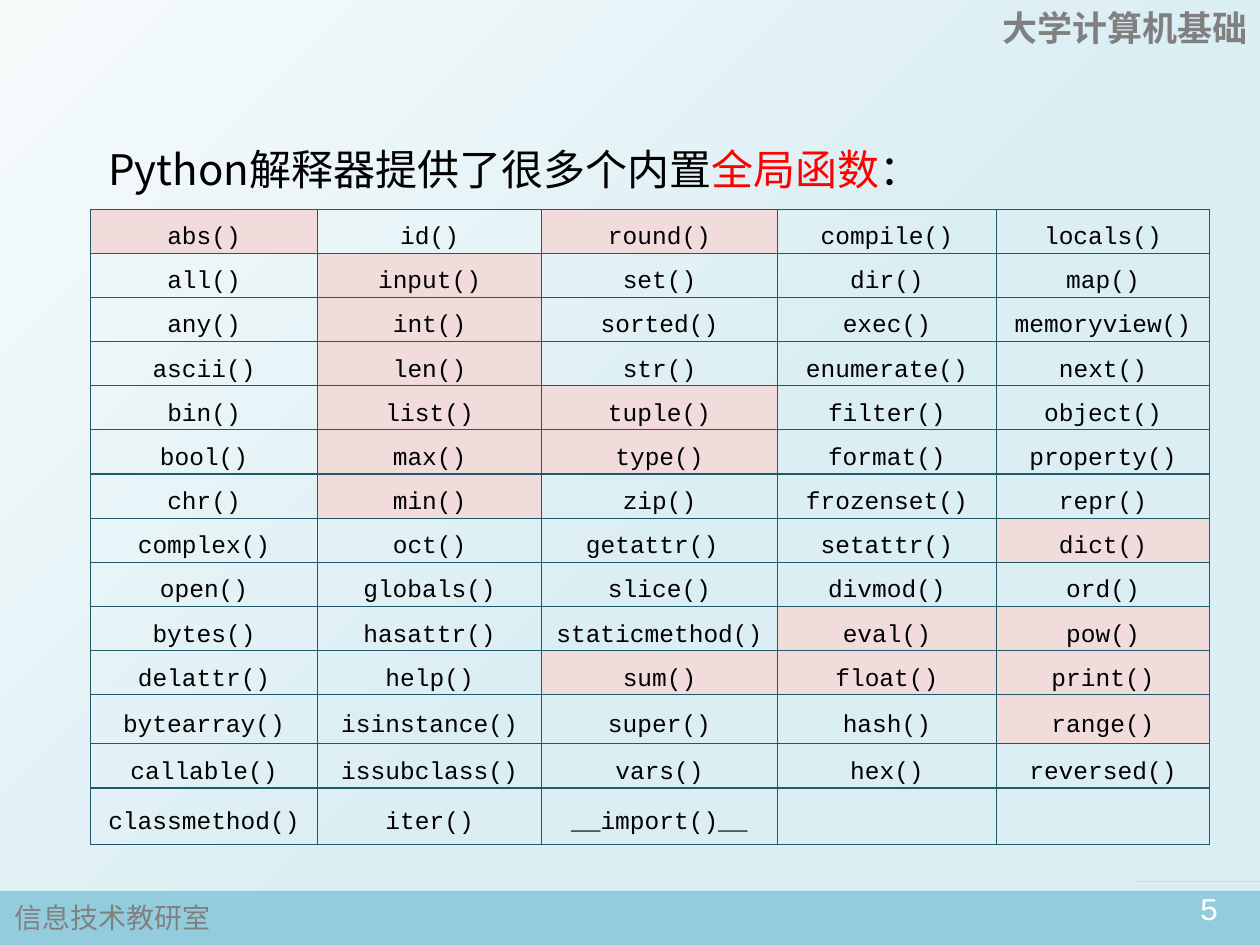
from dataclasses import dataclass
from math import cos, pi, sin

from lxml.etree import SubElement
from pptx import Presentation
from pptx.dml.color import RGBColor
from pptx.enum.shapes import MSO_SHAPE
from pptx.enum.text import MSO_ANCHOR, MSO_AUTO_SIZE, PP_ALIGN
from pptx.oxml.ns import qn
from pptx.util import Inches, Pt

# Content
HEADER = "大学计算机基础"
FOOTER = "信息技术教研室"
PAGE_NUMBER = "5"
TITLE_PARTS = [("Python解释器提供了很多个内置", False), ("全局函数", True), ("：", False)]
FUNCTION_ROWS = [
    ("abs()", "id()", "round()", "compile()", "locals()"),
    ("all()", "input()", "set()", "dir()", "map()"),
    ("any()", "int()", "sorted()", "exec()", "memoryview()"),
    ("ascii()", "len()", "str()", "enumerate()", "next()"),
    ("bin()", "list()", "tuple()", "filter()", "object()"),
    ("bool()", "max()", "type()", "format()", "property()"),
    ("chr()", "min()", "zip()", "frozenset()", "repr()"),
    ("complex()", "oct()", "getattr() ", "setattr()", "dict()"),
    ("open()", "globals()", "slice()", "divmod()", "ord()"),
    ("bytes()", "hasattr()", "staticmethod()", "eval()", "pow()"),
    ("delattr()", "help()", "sum()", "float()", "print()"),
    ("bytearray()", "isinstance()", "super()", "hash()", "range()"),
    ("callable()", "issubclass()", "vars()", "hex()", "reversed()"),
    ("classmethod()", "iter()", "__import()__", "", ""),
]
HIGHLIGHTED = {
    "abs()", "round()", "input()", "int()", "len()", "list()", "tuple()", "max()", "type()",
    "min()", "dict()", "eval()", "pow()", "sum()", "float()", "print()", "range()",
}

# Geometry in inches
WIDTH, HEIGHT = 10, 7.5
BAR_TOP = 7.07
TABLE_LEFT, TABLE_TOP = 0.72, 1.66
COLUMN_WIDTHS = [1.8, 1.78, 1.87, 1.74, 1.69]
ROW_HEIGHT = 0.35
TALL_ROWS = {11: 0.39, 13: 0.45}


@dataclass(frozen=True)
class Theme:
    background_start: str = "F6FBFC"
    background_end: str = "DBEEF4"
    bar: str = "93CDDD"
    ribbon: str = "31859C"
    border: str = "215968"
    highlight: str = "F2DCDB"
    text: str = "000000"
    accent: str = "FF0000"
    muted: str = "808080"
    white: str = "FFFFFF"
    title_font: str = "Noto Sans CJK SC"
    label_font: str = "Noto Sans CJK JP"
    code_font: str = "Courier New"
    title_size: int = 24
    header_size: int = 20
    number_size: int = 18
    footer_size: int = 16
    table_size: int = 14


THEME = Theme()


def rgb(color):
    return RGBColor.from_string(color)


def format_run(run, font, size, color, bold=False):
    run.font.name, run.font.size, run.font.bold = font, Pt(size), bold
    run.font.color.rgb = rgb(color)
    SubElement(run.font._element, qn("a:ea"), typeface=font)


def paint(shape, color):
    shape.fill.solid()
    shape.fill.fore_color.rgb = rgb(color)
    shape.line.fill.background()
    shape.shadow.inherit = False


def add_label(slide, box, text, font, size, color, alignment, bold=False, wrap=True):
    frame = slide.shapes.add_textbox(*map(Inches, box)).text_frame
    frame.word_wrap = wrap
    frame.text = text
    paragraph = frame.paragraphs[0]
    paragraph.alignment = alignment
    format_run(paragraph.runs[0], font, size, color, bold)


def arc(center_x, center_y, radius_x, radius_y, start, end, steps=8):
    """Points of an elliptic arc, in degrees, with 90 at the top."""
    angles = [(start + (end - start) * i / steps) * pi / 180 for i in range(steps + 1)]
    return [(center_x + radius_x * cos(a), center_y - radius_y * sin(a)) for a in angles]


def add_ribbon(slide):
    curl = [(9.8, BAR_TOP), *arc(9.88, 6.97, 0.08, 0.07, 180, 0), (9.96, BAR_TOP)]
    body = [(9.42, 7.49), *arc(9.51, 6.98, 0.1, 0.08, 180, 90),
            *arc(9.82, 6.97, 0.04, 0.07, 90, 180), (9.78, 7.49), (9.59, 7.41)]
    builder = slide.shapes.build_freeform(*curl[0], scale=Inches(1))
    builder.add_line_segments(curl[1:], close=True)
    builder.move_to(*body[0])
    builder.add_line_segments(body[1:], close=True)
    paint(builder.convert_to_shape(), THEME.ribbon)


def add_borders(cell):
    properties = cell._tc.get_or_add_tcPr()
    for side in ("lnL", "lnR", "lnT", "lnB"):
        line = SubElement(properties, qn(f"a:{side}"), w=str(Pt(0.75)))
        fill = SubElement(line, qn("a:solidFill"))
        SubElement(fill, qn("a:srgbClr"), val=THEME.border)


def fill_cell(cell, text):
    add_borders(cell)
    cell.vertical_anchor = MSO_ANCHOR.MIDDLE
    cell.margin_left = cell.margin_right = Inches(0.07)
    cell.margin_top = cell.margin_bottom = 0
    if text in HIGHLIGHTED:
        cell.fill.solid()
        cell.fill.fore_color.rgb = rgb(THEME.highlight)
    else:
        cell.fill.background()
    if text:
        cell.text_frame.text = text
        paragraph = cell.text_frame.paragraphs[0]
        paragraph.alignment, paragraph.line_spacing = PP_ALIGN.CENTER, 1.5
        format_run(paragraph.runs[0], THEME.code_font, THEME.table_size, THEME.text)


def add_function_table(slide):
    heights = [TALL_ROWS.get(i, ROW_HEIGHT) for i in range(len(FUNCTION_ROWS))]
    box = (TABLE_LEFT, TABLE_TOP, sum(COLUMN_WIDTHS), sum(heights))
    table = slide.shapes.add_table(len(heights), len(COLUMN_WIDTHS), *map(Inches, box)).table
    table.first_row = table.horz_banding = False
    for column, width in zip(table.columns, COLUMN_WIDTHS):
        column.width = Inches(width)
    for row, height, names in zip(table.rows, heights, FUNCTION_ROWS):
        row.height = Inches(height)
        for cell, name in zip(row.cells, names):
            fill_cell(cell, name)


def format_title(title):
    title.left, title.top, title.width, title.height = map(Inches, (0.46, 0.89, 9.13, 0.64))
    frame = title.text_frame
    frame.auto_size, frame.vertical_anchor = MSO_AUTO_SIZE.NONE, MSO_ANCHOR.TOP
    frame.word_wrap = True
    paragraph = frame.paragraphs[0]
    paragraph.alignment, paragraph.line_spacing = PP_ALIGN.JUSTIFY, 1.5
    paragraph._p.get_or_add_pPr().set("indent", str(Inches(0.3)))
    for text, accented in TITLE_PARTS:
        run = paragraph.add_run()
        run.text = text
        color = THEME.accent if accented else THEME.text
        format_run(run, THEME.title_font, THEME.title_size, color)


def main():
    presentation = Presentation()
    presentation.slide_width, presentation.slide_height = Inches(WIDTH), Inches(HEIGHT)
    slide = presentation.slides.add_slide(presentation.slide_layouts[5])

    # Background, running from the top left corner
    background = slide.background.fill
    background.gradient()
    background.gradient_angle = 315
    stops = [(0, THEME.background_start), (0.56, THEME.background_end)]
    for stop, (position, color) in zip(background.gradient_stops, stops):
        stop.position, stop.color.rgb = position, rgb(color)

    # Footer bar, ribbon and labels
    bar_box = (0, BAR_TOP, WIDTH, HEIGHT - BAR_TOP)
    paint(slide.shapes.add_shape(MSO_SHAPE.RECTANGLE, *map(Inches, bar_box)), THEME.bar)
    add_ribbon(slide)
    add_label(slide, (0.02, 7.1, 1.77, 0.37), FOOTER, THEME.label_font,
              THEME.footer_size, THEME.muted, PP_ALIGN.LEFT, wrap=False)
    add_label(slide, (7.83, 0, 2.17, 0.44), HEADER, THEME.label_font,
              THEME.header_size, THEME.muted, PP_ALIGN.RIGHT, bold=True)
    add_label(slide, (9.24, 7.01, 0.71, 0.4), PAGE_NUMBER, THEME.code_font,
              THEME.number_size, THEME.white, PP_ALIGN.CENTER)

    # Title and table
    format_title(slide.shapes.title)
    add_function_table(slide)
    presentation.save("out.pptx")


if __name__ == "__main__":
    main()
